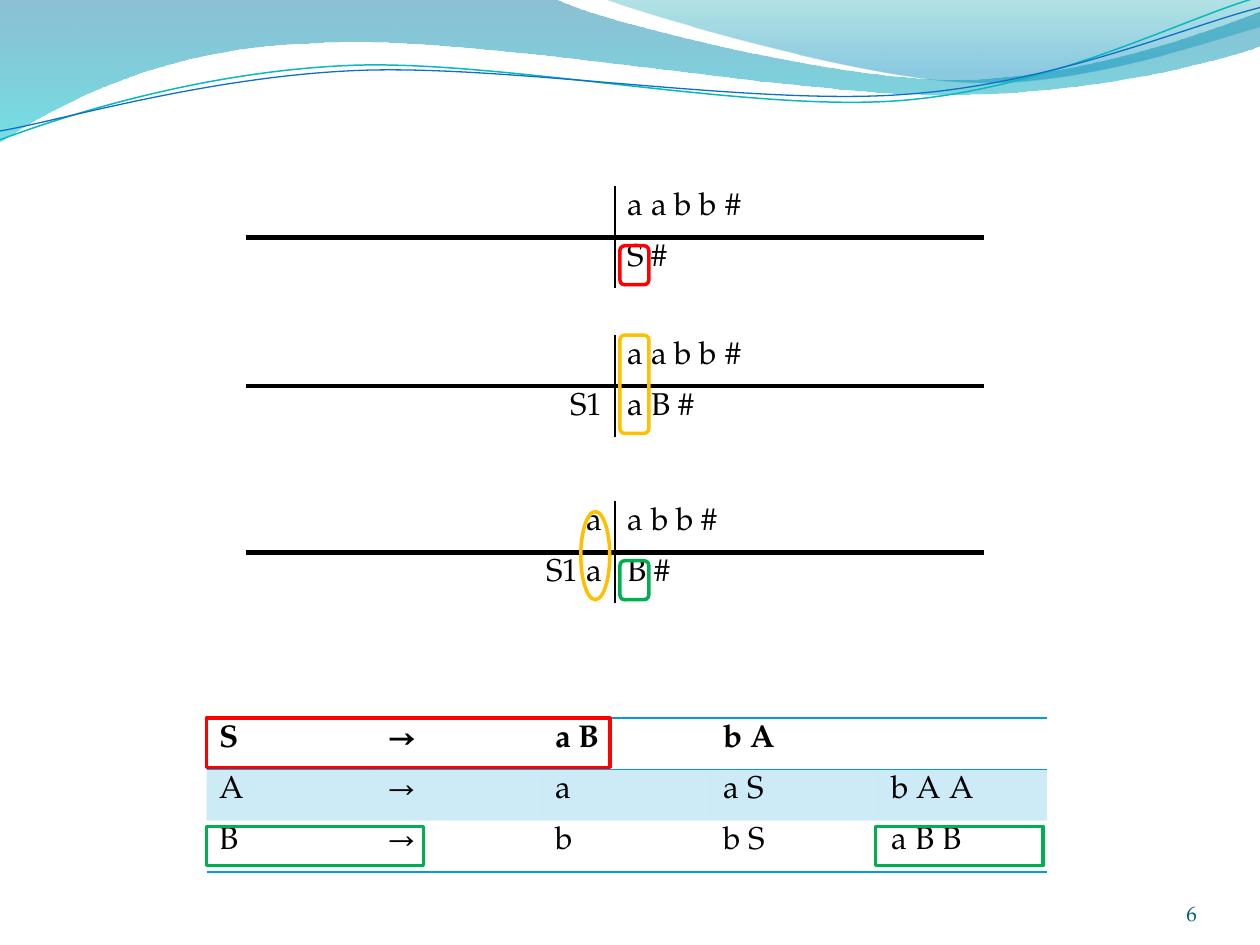
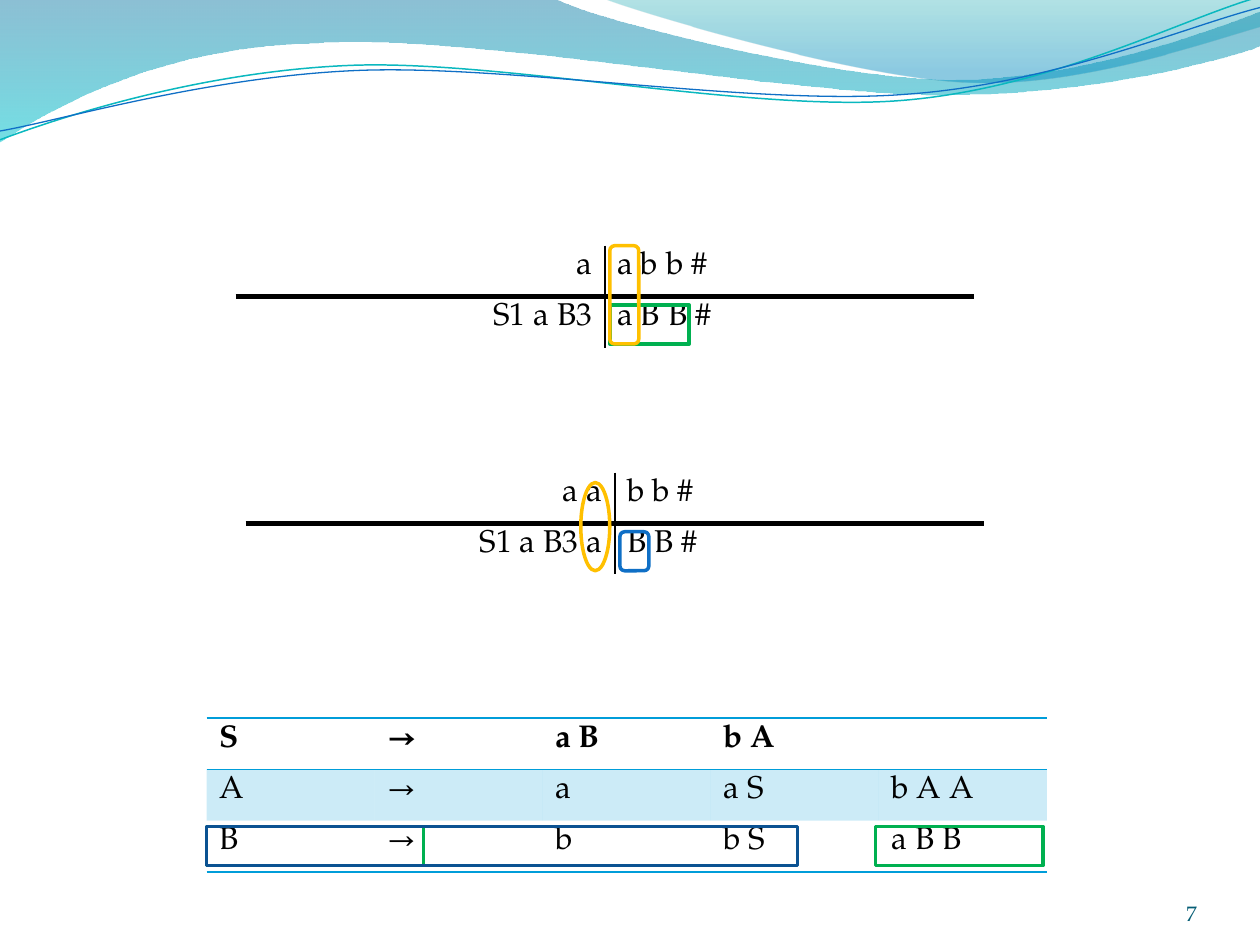
from lxml import etree
from pptx import Presentation
from pptx.dml.color import RGBColor
from pptx.enum.shapes import MSO_SHAPE as Preset
from pptx.enum.text import MSO_ANCHOR as Anchor, PP_ALIGN as Align
from pptx.oxml.ns import qn
from pptx.util import Inches, Pt

FONT = "TeX Gyre Pagella"
BLACK, ACCENT, PAGE_COLOR = "000000", "009DD9", "045D75"
RED, GOLD, GREEN, BLUE, NAVY = "FF0000", "FFC000", "00B050", "0F6FC6", "0B5292"
PLAIN_TABLE = "{2D5ABB26-0587-4C30-8999-92F81FD0307C}"

BANDS = [
    dict(start=(0, 0), steps=[
        (4.4, -0.01), (4.76, 0.17, 6.64, 0.63, 7.58, 0.63),
        (8.53, 0.63, 9.58, 0.26, 10, 0.09), (10.01, 0.36),
        (9.83, 0.44, 8.7, 0.76, 7.46, 0.75), (6.22, 0.75, 3.82, 0.28, 2.57, 0.34),
        (1.29, 0.36, 0.46, 0.83, -0.01, 1.13), (0, 0)],
        stops=[(0, "0074A1", 45), (1, "00C6CF", 55)]),
    dict(start=(4.79, -0.01), steps=[
        (5.09, 0.11, 6.82, 0.62, 7.69, 0.65),
        (8.56, 0.69, 9.61, 0.32, 10, 0.21), (10, 0), (4.79, -0.01)],
        stops=[(0, "00A1A9", 30), (0.8, "008BBF", 45)]),
]
WAVES = [
    dict(start=(0, 1.11), steps=[
        (0.48, 0.93, 1.58, 0.57, 2.77, 0.52), (3.95, 0.47, 5.93, 0.89, 7.13, 0.8),
        (8.33, 0.71, 9.38, 0.15, 9.98, -0.02)], color="0AB8BF", width=0.85),
    dict(start=(0, 1.04), steps=[
        (0.47, 0.96, 1.64, 0.61, 2.83, 0.56), (4.03, 0.51, 5.97, 0.84, 7.17, 0.75),
        (8.36, 0.67, 9.41, 0.21, 10, 0.06)], color=BLUE, width=0.75),
]

GRAMMAR = [
    ["S", "→", "a B", "b A", ""],
    ["A", "→", "a", "a S", "b A A"],
    ["B", "→", "b", "b S", "a B B"],
]
GRAMMAR_PLACE = (1.64, 5.7, 6.67, 1.22)
GRAMMAR_BORDERS = ["TB", "T", "B"]
TRACE_SIZE = (5.86, 0.81)

TRACE_MARKS = {
    "top of stack": (Preset.ROUNDED_RECTANGLE, 2.97, 0.47, 0.23, 0.31),
    "match": (Preset.ROUNDED_RECTANGLE, 2.97, 0, 0.23, 0.78),
    "read": (Preset.OVAL, 2.66, 0.08, 0.23, 0.7),
    "expansion": (Preset.RECTANGLE, 2.97, 0.47, 0.63, 0.31),
}
GRAMMAR_MARKS = {
    "S to a B": (Preset.RECTANGLE, 0, 0, 3.2, 0.39),
    "B to": (Preset.RECTANGLE, 0, 0.86, 1.72, 0.31),
    "B to b S": (Preset.RECTANGLE, 0, 0.86, 4.69, 0.31),
    "a B B": (Preset.RECTANGLE, 5.31, 0.86, 1.33, 0.31),
}

PAGES = [
    dict(number=6, traces=[
        dict(at=(1.95, 1.48), rows=[["", "a a b b #"], ["", "S #"]],
             marks=[("top of stack", RED)]),
        dict(at=(1.95, 2.66), rows=[["", "a a b b #"], ["S1", "a B #"]],
             marks=[("match", GOLD)]),
        dict(at=(1.95, 3.98), rows=[["a", "a b b #"], ["S1 a", "B #"]],
             marks=[("read", GOLD), ("top of stack", GREEN)]),
    ], rules=[("S to a B", RED), ("B to", GREEN), ("a B B", GREEN)]),
    dict(number=7, traces=[
        dict(at=(1.87, 1.95), rows=[["a", "a b b #"], ["S1 a B3", "a B B #"]],
             marks=[("expansion", GREEN), ("match", GOLD)]),
        dict(at=(1.95, 3.75), rows=[["a a", "b b #"], ["S1 a B3 a", "B B #"]],
             marks=[("read", GOLD), ("top of stack", BLUE)]),
    ], rules=[("B to", GREEN), ("a B B", GREEN), ("B to b S", NAVY)]),
]


def rgb(color):
    return RGBColor.from_string(color)


def set_alpha(color_element, percent):
    etree.SubElement(color_element, qn("a:alpha")).set("val", str(percent * 1000))


def style_text(para, size, color, bold=False, align=Align.LEFT):
    para.alignment = align
    for span in para.runs:
        span.font.name, span.font.size, span.font.bold = FONT, Pt(size), bold
        span.font.color.rgb = rgb(color)


def add_outline(page, start, steps, close):
    points = [step[i:i + 2] for step in steps for i in range(0, len(step), 2)]
    builder = page.shapes.build_freeform(*map(Inches, start), scale=1.0)
    builder.add_line_segments([tuple(map(Inches, point)) for point in points], close=close)
    shape = builder.convert_to_shape()
    shape.shadow.inherit = False
    segments = iter(list(shape._element.spPr.iter(qn("a:lnTo"))))
    for step in steps:
        first = next(segments)
        if len(step) == 6:
            first.tag_name = None
            curve = etree.Element(qn("a:cubicBezTo"))
            first.addprevious(curve)
            for segment in (first, next(segments), next(segments)):
                curve.append(segment[0])
                segment.getparent().remove(segment)
    return shape


def add_header(page):
    for band in BANDS:
        shape = add_outline(page, band["start"], band["steps"], True)
        shape.line.fill.background()
        shape.fill.gradient()
        shape.fill.gradient_angle = 270
        for stop, (position, color, _) in zip(shape.fill.gradient_stops, band["stops"]):
            stop.position = position
            stop.color.rgb = rgb(color)
        colors = shape._element.spPr.iter(qn("a:srgbClr"))
        for element, (_, _, opacity) in zip(list(colors), band["stops"]):
            set_alpha(element, opacity)
    for wave in WAVES:
        shape = add_outline(page, wave["start"], wave["steps"], False)
        shape.fill.background()
        shape.line.color.rgb = rgb(wave["color"])
        shape.line.width = Pt(wave["width"])


def add_page_number(page, number):
    box = page.shapes.add_textbox(Inches(8.67), Inches(6.95), Inches(0.83), Inches(0.4))
    frame = box.text_frame
    frame.margin_left = frame.margin_right = frame.margin_top = frame.margin_bottom = 0
    frame.word_wrap = True
    frame.vertical_anchor = Anchor.BOTTOM
    frame.text = str(number)
    style_text(frame.paragraphs[0], 12, PAGE_COLOR, align=Align.RIGHT)


def set_borders(cell, borders):
    properties = cell._tc.get_or_add_tcPr()
    for index, side in enumerate("LRTB"):
        line = etree.Element(qn(f"a:ln{side}"))
        properties.insert(index, line)
        if side not in borders:
            etree.SubElement(line, qn("a:noFill"))
            continue
        color, width = borders[side]
        line.set("w", str(Pt(width)))
        fill = etree.SubElement(line, qn("a:solidFill"))
        etree.SubElement(fill, qn("a:srgbClr"), val=color)


def add_grid(page, place, rows):
    left, top, width, height = map(Inches, place)
    grid = page.shapes.add_table(len(rows), len(rows[0]), left, top, width, height).table
    grid.first_row = grid.horz_banding = False
    grid._tbl.tblPr.find(qn("a:tableStyleId")).text = PLAIN_TABLE
    for row_index, texts in enumerate(rows):
        for column_index, text in enumerate(texts):
            cell = grid.cell(row_index, column_index)
            cell.text_frame.text = text
            cell.fill.background()
            yield row_index, column_index, cell


def add_marks(page, origin, zones, marks):
    for name, color in marks:
        preset, across, down, width, height = zones[name]
        shape = page.shapes.add_shape(preset, Inches(origin[0] + across),
                                      Inches(origin[1] + down), Inches(width), Inches(height))
        shape.shadow.inherit = False
        shape.fill.background()
        shape.line.color.rgb = rgb(color)
        shape.line.width = Pt(2)


def add_trace(page, trace):
    for row, column, cell in add_grid(page, trace["at"] + TRACE_SIZE, trace["rows"]):
        style_text(cell.text_frame.paragraphs[0], 18, BLACK,
                   align=Align.LEFT if column else Align.RIGHT)
        set_borders(cell, {"L" if column else "R": (BLACK, 1),
                           "T" if row else "B": (BLACK, 3)})


def add_grammar(page):
    for row, _, cell in add_grid(page, GRAMMAR_PLACE, GRAMMAR):
        style_text(cell.text_frame.paragraphs[0], 18, BLACK, bold=row == 0)
        if row == 1:
            cell.fill.solid()
            cell.fill.fore_color.rgb = rgb(ACCENT)
            set_alpha(next(cell._tc.tcPr.iter(qn("a:srgbClr"))), 20)
        set_borders(cell, {side: (ACCENT, 1) for side in GRAMMAR_BORDERS[row]})


def main():
    deck = Presentation()
    deck.slide_width, deck.slide_height = Inches(10), Inches(7.5)
    for content in PAGES:
        page = deck.slides.add_slide(deck.slide_layouts[6])
        add_header(page)
        add_page_number(page, content["number"])
        add_grammar(page)
        for trace in content["traces"]:
            add_trace(page, trace)
        for trace in content["traces"]:
            add_marks(page, trace["at"], TRACE_MARKS, trace["marks"])
        add_marks(page, GRAMMAR_PLACE, GRAMMAR_MARKS, content["rules"])
    deck.save("out.pptx")


if __name__ == "__main__":
    main()
